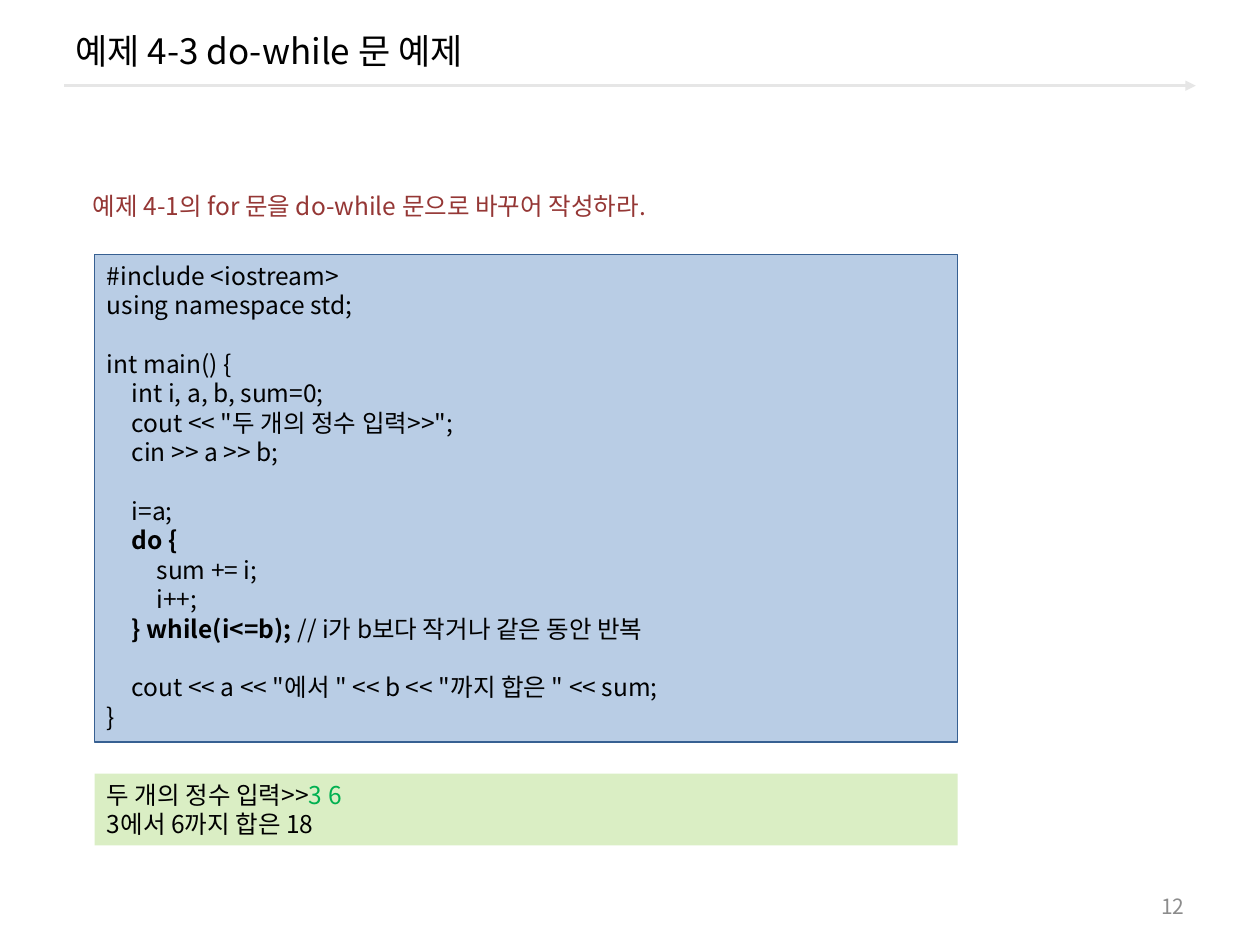
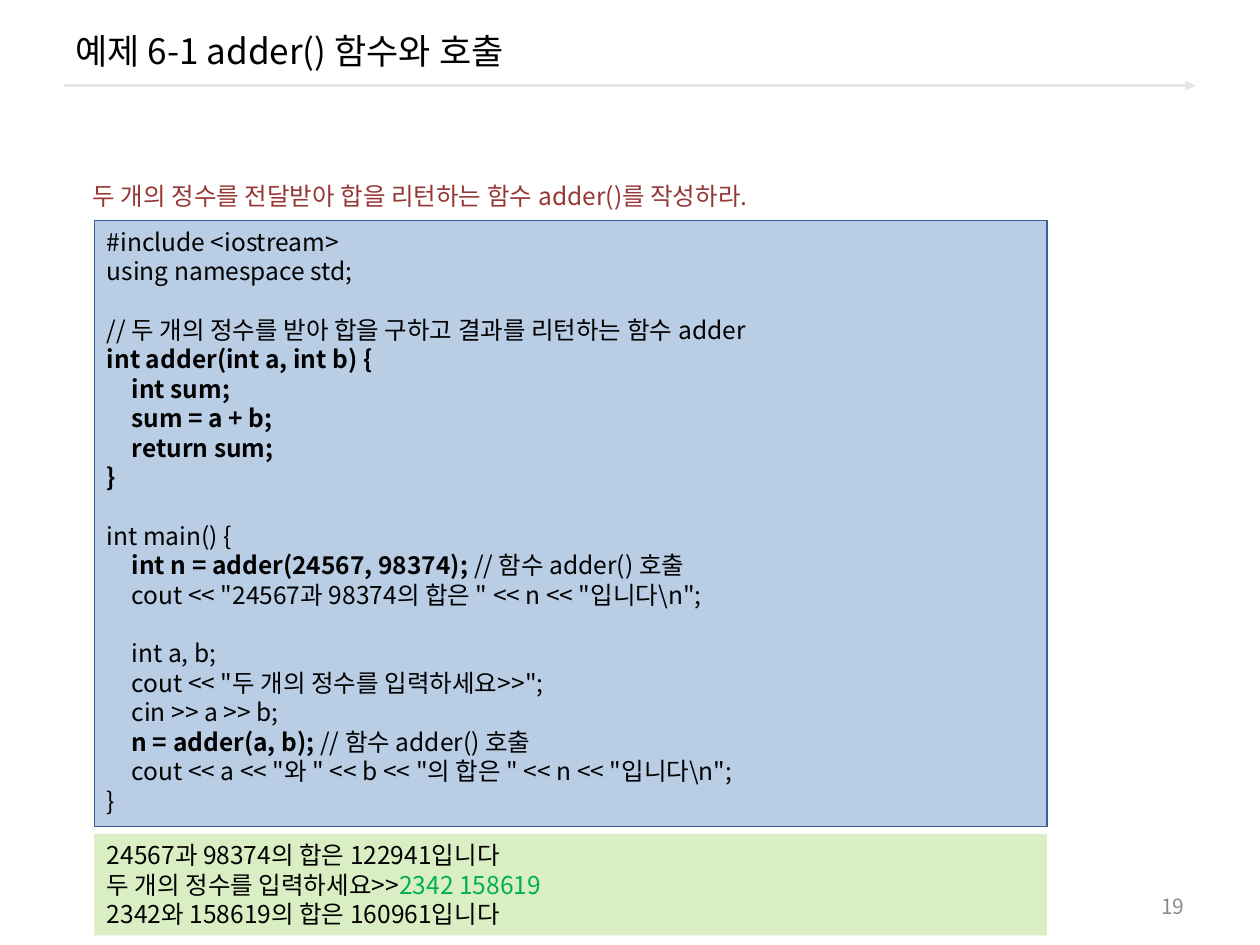
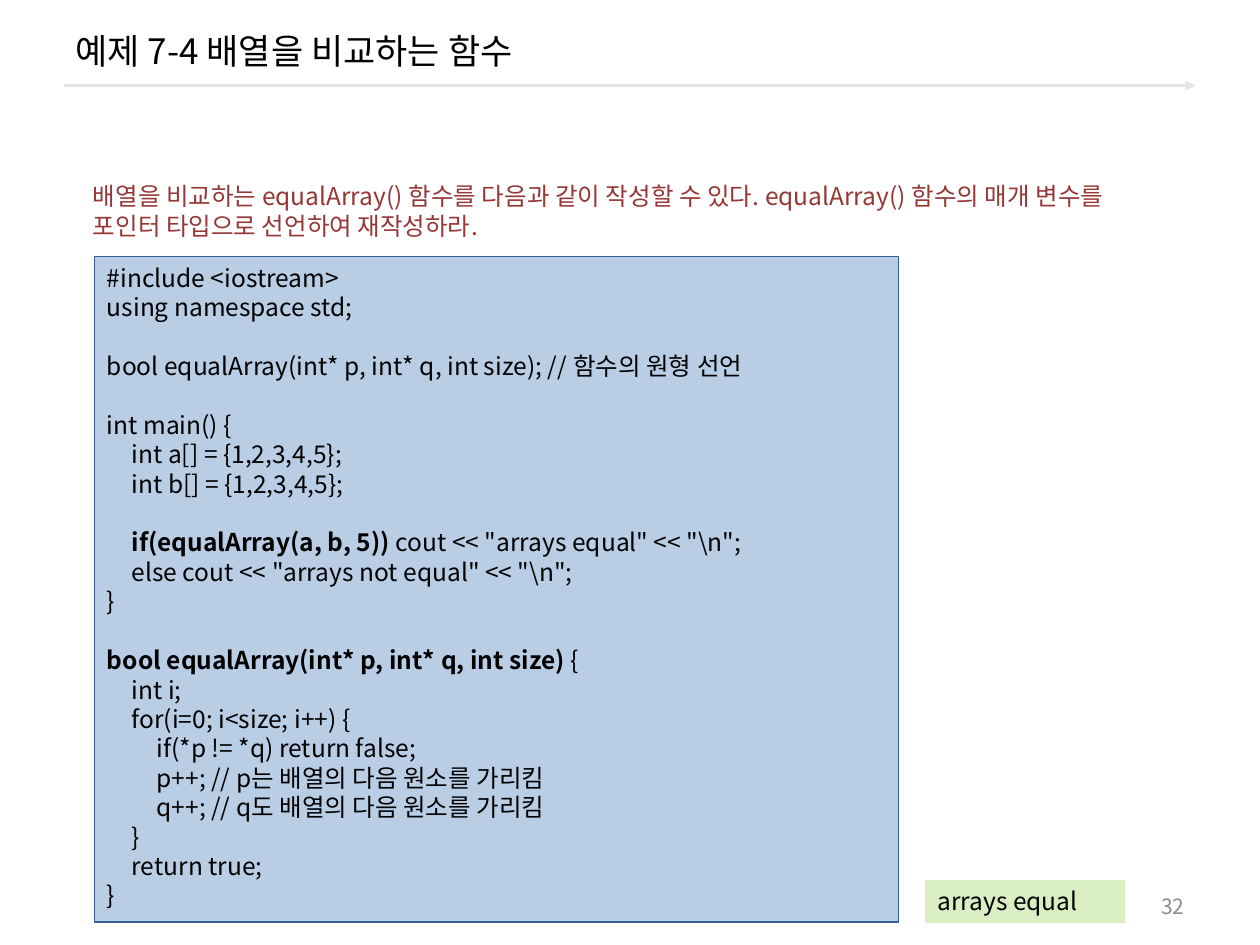
"""Build three slides of C++ examples: a task, its code and its output."""
from lxml import etree
from pptx import Presentation
from pptx.dml.color import RGBColor
from pptx.enum.shapes import MSO_CONNECTOR, MSO_SHAPE
from pptx.enum.text import MSO_ANCHOR, PP_ALIGN
from pptx.oxml.ns import qn
from pptx.util import Pt

RECTANGLE = MSO_SHAPE.RECTANGLE
STRAIGHT = MSO_CONNECTOR.STRAIGHT
TOP, MIDDLE = MSO_ANCHOR.TOP, MSO_ANCHOR.MIDDLE
LEFT, RIGHT = PP_ALIGN.LEFT, PP_ALIGN.RIGHT

FONT = "Noto Sans CJK KR"
BLACK, GRAY, RED, GREEN = "000000", "8C8C8C", "953735", "00B050"
RULE, CODE_FILL, CODE_LINE, OUTPUT_FILL = "E6E6E6", "B9CDE5", "376092", "DAEEC4"
LINE_HEIGHT = 16.8
TAB = 14.2
INDENT = "    "
MARK = "**"
TITLE_BOX = (36, 5.8, 648, 46)
NUMBER_BOX = (516, 506, 168, 23)
RULE_LEFT, RULE_RIGHT, RULE_TOP = 36.7, 683.3, 49

EXAMPLES = [
    {
        "title": "예제 4-3 do-while 문 예제",
        "number": "12",
        "task": "예제 4-1의 for 문을 do-while 문으로 바꾸어 작성하라.",
        "task_box": (46, 105.8, 541, 24.5),
        "code_box": (54, 145.4, 493.2, 278.6),
        "output_box": (54, 442.1, 493.2, 41),
        "code": r'''#include <iostream>
using namespace std;

int main() {
    int i, a, b, sum=0;
    cout << "두 개의 정수 입력>>";
    cin >> a >> b;

    i=a;
    **do {**
        sum += i;
        i++;
    **} while(i<=b); **// i가 b보다 작거나 같은 동안 반복

    cout << a << "에서 " << b << "까지 합은 " << sum;
}''',
        "output": """두 개의 정수 입력>>**3 6**
3에서 6까지 합은 18""",
    },
    {
        "title": "예제 6-1 adder() 함수와 호출",
        "number": "19",
        "task": "두 개의 정수를 전달받아 합을 리턴하는 함수 adder()를 작성하라.",
        "task_box": (46, 100, 541, 24.5),
        "code_box": (54, 126, 544.3, 346.5),
        "output_box": (54, 476.6, 544.3, 58),
        "code": r'''#include <iostream>
using namespace std;

// 두 개의 정수를 받아 합을 구하고 결과를 리턴하는 함수 adder
**int adder(int a, int b) {**
**    int sum;**
**    sum = a + b;**
**    return sum;**
**}**

int main() {
    **int n = adder(24567, 98374); **// 함수 adder() 호출
    cout << "24567과 98374의 합은 " << n << "입니다\n";

    int a, b;
    cout << "두 개의 정수를 입력하세요>>";
    cin >> a >> b;
    **n = adder(a, b); **// 함수 adder() 호출
    cout << a << "와 " << b << "의 합은 " << n << "입니다\n";
}''',
        "output": """24567과 98374의 합은 122941입니다
두 개의 정수를 입력하세요>>**2342 158619**
2342와 158619의 합은 160961입니다""",
    },
    {
        "title": "예제 7-4 배열을 비교하는 함수",
        "number": "32",
        "task": "배열을 비교하는 equalArray() 함수를 다음과 같이 작성할 수 있다. "
                "equalArray() 함수의 매개 변수를 포인터 타입으로 선언하여 재작성하라.",
        "task_box": (46, 100, 597.6, 41),
        "code_box": (54, 146.6, 459.4, 380.3),
        "output_box": (528.5, 503, 114.5, 24.5),
        "code": r'''#include <iostream>
using namespace std;

bool equalArray(int* p, int* q, int size); // 함수의 원형 선언

int main() {
    int a[] = {1,2,3,4,5};
    int b[] = {1,2,3,4,5};

    **if(equalArray(a, b, 5)) **cout << "arrays equal" << "\n";
    else cout << "arrays not equal" << "\n";
}

**bool equalArray(int* p, int* q, int size) **{
    int i;
    for(i=0; i<size; i++) {
        if(*p != *q) return false;
        p++; // p는 배열의 다음 원소를 가리킴
        q++; // q도 배열의 다음 원소를 가리킴
    }
    return true;
}''',
        "output": "arrays equal",
    },
]


def color(hex_string):
    return RGBColor.from_string(hex_string)


def points(*lengths):
    return [Pt(length) for length in lengths]


def set_font(paragraph, size, font_color):
    font = paragraph.font
    font.name, font.size = FONT, Pt(size)
    font.color.rgb = color(font_color)
    properties = paragraph._p.get_or_add_pPr().find(qn("a:defRPr"))
    etree.SubElement(properties, qn("a:ea"), typeface=FONT)


def add_tab_stops(paragraph):
    stops = etree.SubElement(paragraph._p.get_or_add_pPr(), qn("a:tabLst"))
    for level in (1, 2):
        etree.SubElement(stops, qn("a:tab"), pos=str(Pt(TAB * level)), algn="l")


def add_label(slide, box, text, size, font_color, anchor=MIDDLE, alignment=LEFT):
    frame = slide.shapes.add_textbox(*points(*box)).text_frame
    frame.word_wrap = True
    frame.vertical_anchor = anchor
    paragraph = frame.paragraphs[0]
    paragraph.text = text
    paragraph.alignment = alignment
    set_font(paragraph, size, font_color)
    return paragraph


def add_listing(slide, box, text, fill, line=None, marked_color=None):
    shape = slide.shapes.add_shape(RECTANGLE, *points(*box))
    shape.shadow.inherit = False
    shape.fill.solid()
    shape.fill.fore_color.rgb = color(fill)
    if line:
        shape.line.color.rgb = color(line)
        shape.line.width = Pt(0.75)
    else:
        shape.line.fill.background()
    frame = shape.text_frame
    frame.word_wrap = True
    frame.vertical_anchor = TOP
    paragraph, gap = frame.paragraphs[0], 0
    for index, code_line in enumerate(text.replace(INDENT, "\t").split("\n")):
        if not code_line:
            gap += LINE_HEIGHT
            continue
        if index:
            paragraph = frame.add_paragraph()
        add_tab_stops(paragraph)
        paragraph.alignment = LEFT
        paragraph.line_spacing = Pt(LINE_HEIGHT)
        paragraph.space_before = Pt(gap)
        set_font(paragraph, 14, BLACK)
        gap = 0
        for part, words in enumerate(code_line.split(MARK)):
            if not words:
                continue
            run = paragraph.add_run()
            run.text = words
            run.font.color.rgb = color(BLACK)
            if part % 2 and marked_color:
                run.font.color.rgb = color(marked_color)
            elif part % 2:
                run.font.bold = True


def add_title_rule(slide):
    rule = slide.shapes.add_connector(
        STRAIGHT, *points(RULE_LEFT, RULE_TOP, RULE_RIGHT, RULE_TOP))
    rule.line.color.rgb = color(RULE)
    rule.line.width = Pt(1.5)
    etree.SubElement(rule.line._get_or_add_ln(), qn("a:tailEnd"), type="triangle")
    etree.SubElement(rule._element.spPr, qn("a:effectLst"))


def add_example(presentation, example):
    slide = presentation.slides.add_slide(presentation.slide_layouts[6])
    add_title_rule(slide)
    add_label(slide, TITLE_BOX, example["title"], 20, BLACK)
    add_label(slide, NUMBER_BOX, example["number"], 12, GRAY, alignment=RIGHT)
    task = add_label(slide, example["task_box"], example["task"], 14, RED, TOP)
    task.line_spacing = Pt(LINE_HEIGHT)
    add_listing(slide, example["code_box"], example["code"], CODE_FILL, CODE_LINE)
    add_listing(slide, example["output_box"], example["output"], OUTPUT_FILL,
                marked_color=GREEN)


def main():
    presentation = Presentation()
    presentation.slide_width, presentation.slide_height = points(720, 540)
    for example in EXAMPLES:
        add_example(presentation, example)
    presentation.save("out.pptx")


if __name__ == "__main__":
    main()
